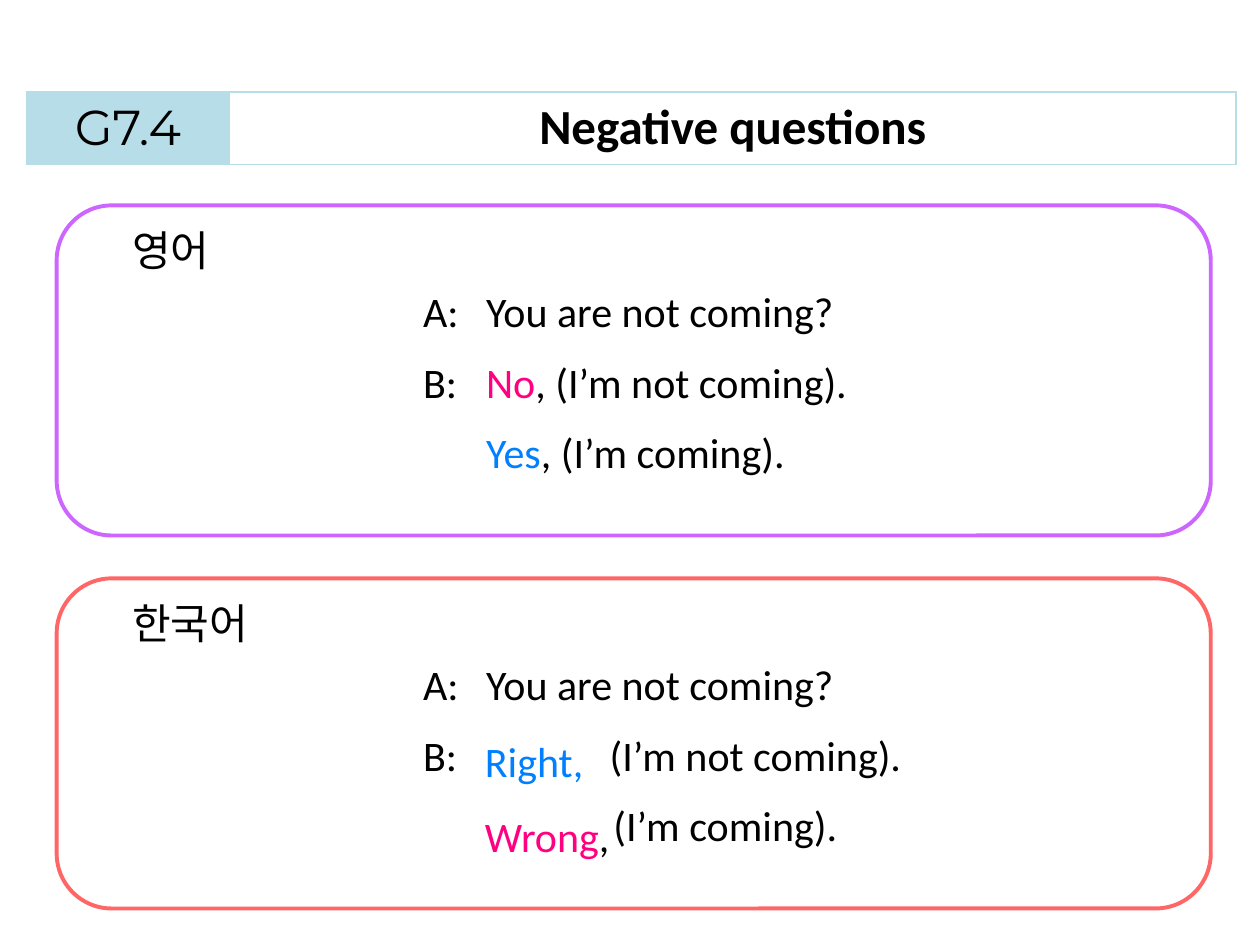
"""Build the G7.4 slide comparing English and Korean answers to negative questions."""
from dataclasses import dataclass

from lxml import etree
from pptx import Presentation
from pptx.dml.color import RGBColor
from pptx.enum.shapes import MSO_SHAPE
from pptx.enum.text import MSO_ANCHOR, MSO_AUTO_SIZE, PP_ALIGN
from pptx.oxml.ns import qn
from pptx.util import Inches, Pt

ROUNDED = MSO_SHAPE.ROUNDED_RECTANGLE
CENTER = PP_ALIGN.CENTER
MIDDLE = MSO_ANCHOR.MIDDLE
GROW = MSO_AUTO_SIZE.SHAPE_TO_FIT_TEXT


@dataclass(frozen=True)
class Theme:
    """Colours, fonts and type sizes of the slide."""
    black: str = "000000"
    white: str = "FFFFFF"
    header: str = "B7DEE8"
    pink: str = "FF0080"
    blue: str = "0080FF"
    purple: str = "CC66FF"
    coral: str = "FF6666"
    body_font: str = "Calibri"
    code_font: str = "Montserrat"
    korean_font: str = "Noto Sans CJK KR"
    header_size: int = 28
    body_size: int = 24
    line_gap: float = 11.3


THEME = Theme()
HEADER = [("G7.4", 1.61, THEME.code_font, False), ("Negative questions", 7.99, THEME.body_font, True)]
LABEL_INDENT = 1.0
SPEECH_INDENT = 1.5
QUESTION = ("A:", SPEECH_INDENT, [("You are not coming?", THEME.black)])
PANELS = [
    {
        "language": "영어", "label_width": 0.83, "outline": THEME.purple, "frame": None,
        "lines": [
            QUESTION,
            ("B:", SPEECH_INDENT, [("No", THEME.pink), (", (I’m not coming).", THEME.black)]),
            ("", SPEECH_INDENT, [("Yes", THEME.blue), (", (I’m coming).", THEME.black)]),
        ],
        "answers": [],
    },
    {
        "language": "한국어", "label_width": 1.15, "outline": THEME.coral, "frame": THEME.white,
        "lines": [
            QUESTION,
            ("B:", 2.48, [("(I’m not coming).", THEME.black)]),
            ("", 2.51, [("(I’m coming).", THEME.black)]),
        ],
        "answers": [
            (1.2, 0.99, [("Right,", THEME.blue)]),
            (1.79, 1.22, [("Wrong", THEME.pink), (",", THEME.black)]),
        ],
    },
]
PANEL_TOP = 1.63
PANEL_STEP = 2.96


def add_span(para, text, color=THEME.black, font=THEME.body_font, size=THEME.body_size, bold=False):
    span = para.add_run()
    span.text = text
    span.font.name = font
    span.font.size = Pt(size)
    span.font.bold = bold
    span.font.color.rgb = RGBColor.from_string(color)
    etree.SubElement(span.font._element, qn("a:ea"), typeface=font)


def add_box(page, left, top, width, height, wrap=False):
    box = page.shapes.add_textbox(Inches(left), Inches(top), Inches(width), Inches(height))
    box.text_frame.word_wrap = wrap
    box.text_frame.auto_size = GROW
    return box


def set_borders(cell, color):
    properties = cell._tc.get_or_add_tcPr()
    for position, side in enumerate(("lnL", "lnR", "lnT", "lnB")):
        line = etree.Element(qn(f"a:{side}"), w=str(Pt(1)))
        fill = etree.SubElement(line, qn("a:solidFill"))
        etree.SubElement(fill, qn("a:srgbClr"), val=color)
        properties.insert(position, line)


def add_header(page):
    width = sum(column[1] for column in HEADER)
    frame = page.shapes.add_table(1, len(HEADER), Inches(0.21), Inches(0.73), Inches(width), Inches(0.57))
    table = frame.table
    table.first_row = False
    table.horz_banding = False
    for index, (text, column_width, font, bold) in enumerate(HEADER):
        table.columns[index].width = Inches(column_width)
        cell = table.cell(0, index)
        cell.vertical_anchor = MIDDLE
        if index == 0:
            cell.fill.solid()
            cell.fill.fore_color.rgb = RGBColor.from_string(THEME.header)
        else:
            cell.fill.background()
        set_borders(cell, THEME.header)
        para = cell.text_frame.paragraphs[0]
        para.alignment = CENTER
        add_span(para, text, font=font, size=THEME.header_size, bold=bold)


def add_outline(page, top, color):
    outline = page.shapes.add_shape(ROUNDED, Inches(0.45), Inches(top), Inches(9.16), Inches(2.62))
    outline.shadow.inherit = False
    outline.fill.background()
    outline.line.color.rgb = RGBColor.from_string(color)
    outline.line.width = Pt(2.25)


def add_dialogue(page, top, lines, frame):
    box = add_box(page, 2.26, top, 7.12, 1.71, wrap=True)
    if frame:
        box.line.color.rgb = RGBColor.from_string(frame)
        box.line.width = Pt(0.75)
    for index, (speaker, margin, spans) in enumerate(lines):
        para = box.text_frame.add_paragraph() if index else box.text_frame.paragraphs[0]
        if index:
            para.space_before = Pt(THEME.line_gap)
        hang = LABEL_INDENT - margin if speaker else 0
        properties = para._p.get_or_add_pPr()
        properties.set("marL", str(Inches(margin)))
        properties.set("indent", str(Inches(hang)))
        if speaker:
            add_span(para, f"{speaker}\t")
        for text, color in spans:
            add_span(para, text, color)


def add_panel(page, top, panel):
    add_outline(page, top, panel["outline"])
    label = add_box(page, 0.95, top + 0.1, panel["label_width"], 0.5)
    add_span(label.text_frame.paragraphs[0], panel["language"], font=THEME.korean_font)
    add_dialogue(page, top + 0.59, panel["lines"], panel["frame"])
    for offset, width, spans in panel["answers"]:
        answer = add_box(page, 3.75, top + offset, width, 0.5)
        for text, color in spans:
            add_span(answer.text_frame.paragraphs[0], text, color)


def main():
    deck = Presentation()
    deck.slide_width = Inches(10)
    deck.slide_height = Inches(7.5)
    page = deck.slides.add_slide(deck.slide_layouts[6])
    add_header(page)
    for index, panel in enumerate(PANELS):
        add_panel(page, PANEL_TOP + index * PANEL_STEP, panel)
    deck.save("out.pptx")


if __name__ == "__main__":
    main()
